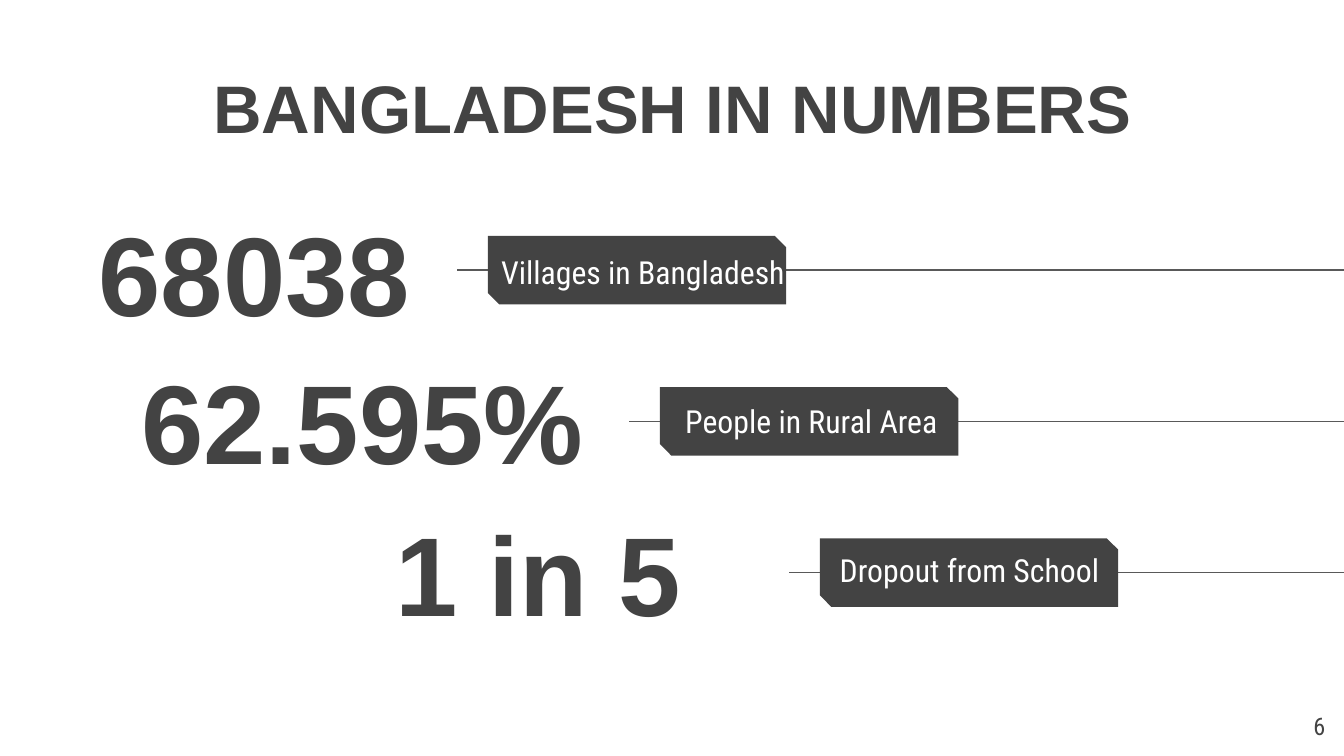
from dataclasses import dataclass

from lxml import etree
from pptx import Presentation
from pptx.dml.color import RGBColor
from pptx.enum import shapes, text
from pptx.oxml import ns
from pptx.util import Inches, Pt


@dataclass(frozen=True)
class Theme:
    dark: RGBColor = RGBColor(0x43, 0x43, 0x43)
    rule: RGBColor = RGBColor(0x59, 0x59, 0x59)
    white: RGBColor = RGBColor(0xFF, 0xFF, 0xFF)
    display: str = "Arial"
    body: str = "Roboto Condensed"
    title_size: int = 36
    number_size: int = 60
    label_size: int = 17
    page_size: int = 13


@dataclass(frozen=True)
class Box:
    left: float
    top: float
    width: float
    height: float

    def emu(self) -> list[int]:
        return [Inches(v) for v in (self.left, self.top, self.width, self.height)]


@dataclass(frozen=True)
class Stat:
    number: str
    number_box: Box
    label: str
    label_box: Box
    tag_left: float
    right_inset: float = 0.1
    label_anchor: text.MSO_ANCHOR = text.MSO_ANCHOR.MIDDLE


THEME = Theme()
SLIDE_W = 10
SLIDE_H = SLIDE_W * 9 / 16
FIRST_LINE_Y, LAST_LINE_Y = 2.01, 4.26
TAG_W, TAG_H = 2.22, 0.51
LINE_LEAD = 0.23  # stretch of line showing left of each tag
LABEL_W, LABEL_H = 3.57, 0.37

STATS = [
    Stat("68038", Box(0.38, 1.61, 2.77, 0.83),
         "Villages in Bangladesh", Box(3.63, 1.84, LABEL_W, LABEL_H), 3.63),
    Stat("62.595%", Box(0.73, 2.71, 3.71, 0.83),
         "People in Rural Area", Box(5, 2.95, LABEL_W, LABEL_H), 4.91),
    Stat("1 in 5", Box(2.55, 3.84, 3.08, 0.83),
         "Dropout from School", Box(6.15, 4, LABEL_W, LABEL_H), 6.1,
         right_inset=0.56, label_anchor=text.MSO_ANCHOR.TOP),
]
ROW_PITCH = (LAST_LINE_Y - FIRST_LINE_Y) / (len(STATS) - 1)


def add_text(s, box: Box, words: str, size: int, font: str, color: RGBColor,
             align=text.PP_ALIGN.LEFT, anchor=text.MSO_ANCHOR.TOP,
             bold: bool = False, right_inset: float = 0.1) -> None:
    tf = s.shapes.add_textbox(*box.emu()).text_frame
    tf.word_wrap = True
    tf.vertical_anchor = anchor
    tf.margin_left = tf.margin_top = tf.margin_bottom = Inches(0.1)
    tf.margin_right = Inches(right_inset)
    p = tf.paragraphs[0]
    p.text = words
    p.alignment = align
    p.font.size = Pt(size)
    p.font.name = font
    p.font.bold = bold
    p.font.color.rgb = color


def add_rule(s, left: float, y: float) -> None:
    line = s.shapes.add_connector(shapes.MSO_CONNECTOR.STRAIGHT, Inches(SLIDE_W),
                                  Inches(y), Inches(left), Inches(y))
    line.line.color.rgb = THEME.rule
    line.line.width = Pt(0.75)
    etree.SubElement(line._element.spPr, ns.qn("a:effectLst"))


def add_tag(s, box: Box) -> None:
    sp = s.shapes.add_shape(shapes.MSO_SHAPE.SNIP_2_DIAG_RECTANGLE, *box.emu())
    sp.adjustments[0] = 0
    sp.adjustments[1] = 0.167
    sp.shadow.inherit = False
    sp.fill.solid()
    sp.fill.fore_color.rgb = THEME.dark
    sp.line.fill.background()


def add_stat(s, stat: Stat, line_y: float) -> None:
    add_rule(s, stat.tag_left - LINE_LEAD, line_y)
    add_text(s, stat.number_box, stat.number, THEME.number_size, THEME.display,
             THEME.dark, text.PP_ALIGN.RIGHT, text.MSO_ANCHOR.MIDDLE, bold=True,
             right_inset=stat.right_inset)
    add_tag(s, Box(stat.tag_left, line_y - TAG_H / 2, TAG_W, TAG_H))
    add_text(s, stat.label_box, stat.label, THEME.label_size, THEME.body,
             THEME.white, anchor=stat.label_anchor)


def main() -> None:
    prs = Presentation()
    prs.slide_width, prs.slide_height = Inches(SLIDE_W), Inches(SLIDE_H)
    s = prs.slides.add_slide(prs.slide_layouts[6])
    s.background.fill.solid()
    s.background.fill.fore_color.rgb = THEME.white

    # Title
    add_text(s, Box(0.08, 0.39, 9.85, 1.03), "BANGLADESH IN NUMBERS",
             THEME.title_size, THEME.display, THEME.dark,
             text.PP_ALIGN.CENTER, bold=True)

    # Figures with their tags
    for i, stat in enumerate(STATS):
        add_stat(s, stat, FIRST_LINE_Y + i * ROW_PITCH)

    # Page number
    add_text(s, Box(9.36, 5.19, 0.6, 0.43), "6", THEME.page_size, THEME.body,
             THEME.dark, text.PP_ALIGN.RIGHT)

    prs.save("out.pptx")


if __name__ == "__main__":
    main()
